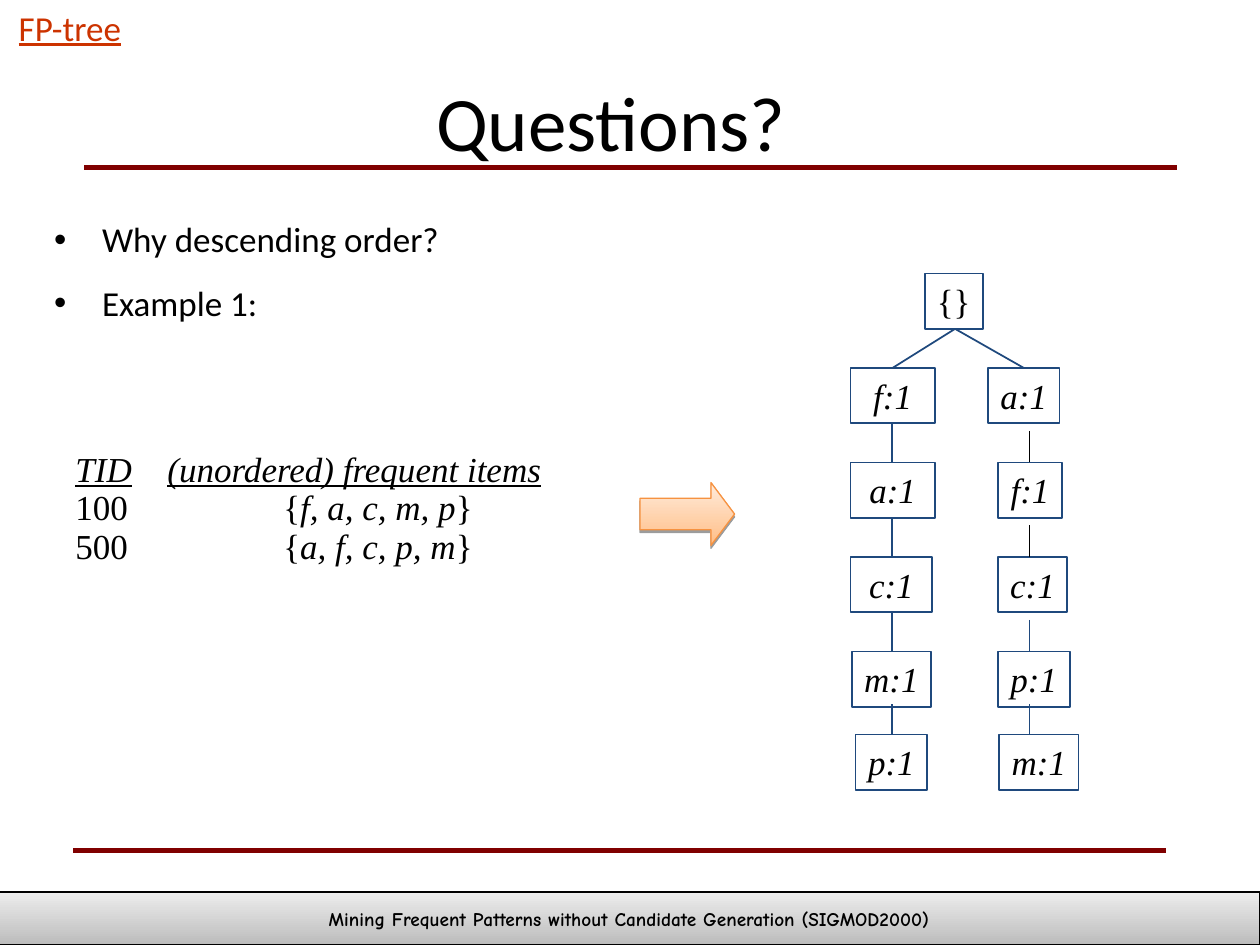
import lxml.etree
import pptx
import pptx.dml.color
import pptx.enum.shapes
import pptx.enum.text
import pptx.oxml
import pptx.oxml.ns
import pptx.util

Inches = pptx.util.Inches
Pt = pptx.util.Pt
RGBColor = pptx.dml.color.RGBColor
ALIGN = pptx.enum.text.PP_ALIGN
ANCHOR = pptx.enum.text.MSO_ANCHOR
SHAPE = pptx.enum.shapes.MSO_SHAPE
qn = pptx.oxml.ns.qn

BLACK = RGBColor(0x00, 0x00, 0x00)
NAVY = RGBColor(0x1F, 0x49, 0x7D)
MAROON = RGBColor(0x80, 0x00, 0x00)
RUST = RGBColor(0xCC, 0x33, 0x00)
ORANGE = RGBColor(0xF6, 0x92, 0x40)
ARROW_SHADES = (RGBColor(0xFF, 0xBE, 0x86), RGBColor(0xFF, 0xEB, 0xDB))
FOOTER_SHADES = (RGBColor(0xBC, 0xBC, 0xBC), RGBColor(0xED, 0xED, 0xED))
SANS, SERIF, COMIC = "Calibri", "Times New Roman", "Comic Neue"

SHADOW = (
    '<a:effectLst xmlns:a="http://schemas.openxmlformats.org/drawingml/2006/main">'
    '<a:outerShdw blurRad="0" dist="20320" dir="5400000" rotWithShape="0">'
    '<a:srgbClr val="000000"><a:alpha val="38000"/></a:srgbClr>'
    "</a:outerShdw></a:effectLst>"
)


def set_font(span, name, size, color=BLACK, **styles):
    span.font.name = name
    span.font.size = Pt(size)
    span.font.color.rgb = color
    for style, value in styles.items():
        setattr(span.font, style, value)


def place(shape, box):
    shape.left, shape.top, shape.width, shape.height = map(Inches, box)


def add_line(page, start, end, color, width):
    line = page.shapes.add_connector(
        pptx.enum.shapes.MSO_CONNECTOR.STRAIGHT, *map(Inches, (*start, *end)))
    line.line.color.rgb = color
    line.line.width = Pt(width)
    lxml.etree.SubElement(line._element.spPr, qn("a:effectLst"))


def add_shaded_shape(page, kind, box, shades, outline):
    """Shape with a gradient rising from bottom to top and a hard shadow."""
    shape = page.shapes.add_shape(kind, *map(Inches, box))
    shape.fill.gradient()
    shape.fill.gradient_angle = 90
    for stop, shade, position in zip(shape.fill.gradient_stops, shades, (0, 1)):
        stop.color.rgb = shade
        stop.position = position
    shape.line.color.rgb = outline
    shape.line.width = Pt(0.75)
    shape._element.spPr.append(pptx.oxml.parse_xml(SHADOW))
    return shape


def add_title(page, box):
    title = page.shapes.title
    place(title, box)
    frame = title.text_frame
    frame.text = "Questions?"
    frame.vertical_anchor = ANCHOR.MIDDLE
    frame.paragraphs[0].alignment = ALIGN.CENTER
    set_font(frame.paragraphs[0].runs[0], SANS, 44)


def add_bullets(page, box, lines):
    body = page.placeholders[1]
    place(body, box)
    body.text_frame.text = "\n".join(lines)
    for index, para in enumerate(body.text_frame.paragraphs):
        properties = para._p.get_or_add_pPr()
        properties.set("marL", str(Inches(0.38)))
        properties.set("indent", str(Inches(-0.38)))
        para.line_spacing = 1.3
        para.space_before = Pt(5 if index else 0)
        set_font(para.runs[0], SANS, 20)


def add_topic(page, box):
    topic = page.shapes.add_textbox(*map(Inches, box))
    topic.text_frame.text = "FP-tree"
    topic.text_frame.word_wrap = False
    set_font(topic.text_frame.paragraphs[0].runs[0], SANS, 20, RUST, underline=True)


def add_transactions(page, box, rows):
    frame = page.shapes.add_textbox(*map(Inches, box)).text_frame
    frame.word_wrap = True
    frame.text = "\n".join(["TID\t(unordered) frequent items"] + [tid + "\t{" for tid, _ in rows])
    for index, para in enumerate(frame.paragraphs):
        # Column stop: the heading starts further left than the item sets
        tabs = lxml.etree.SubElement(para._p.get_or_add_pPr(), qn("a:tabLst"))
        stop = Inches(1.65 if index else 0.73)
        lxml.etree.SubElement(tabs, qn("a:tab"), pos=str(stop), algn="l")
        para.line_spacing = 0.4
        para.space_before = Pt(12.5 if index else 0)
        if index:
            for text in (rows[index - 1][1], "}"):
                para.add_run().text = text
        for number, span in enumerate(para.runs):
            set_font(span, SERIF, 20, italic=not index or number == 1, underline=not index)


def add_node(page, box, label, italic=True):
    node = page.shapes.add_shape(SHAPE.RECTANGLE, *map(Inches, box))
    node.shadow.inherit = False
    node.fill.background()
    node.line.color.rgb = NAVY
    node.line.width = Pt(1)
    frame = node.text_frame
    frame.text = label
    frame.word_wrap = False
    frame.vertical_anchor = ANCHOR.TOP
    frame.paragraphs[0].alignment = ALIGN.CENTER
    set_font(frame.paragraphs[0].runs[0], SERIF, 20, italic=italic)


def add_tree(page, box):
    left, top = box[:2]
    height = 0.44
    root_x = left + 0.83
    tops = [top + offset for offset in (0.75, 1.5, 2.25, 3, 3.66)]

    # Each branch: link x, link length, black links, nodes as (label, left, width)
    branches = [
        (left + 0.33, 0.31, 0,
         [("f:1", 0, 0.67), ("a:1", 0, 0.67), ("c:1", 0, 0.65),
          ("m:1", 0.01, 0.63), ("p:1", 0.04, 0.57)]),
        (left + 1.42, 0.25, 2,
         [("a:1", 1.09, 0.57), ("f:1", 1.17, 0.51), ("c:1", 1.17, 0.55),
          ("p:1", 1.17, 0.57), ("m:1", 1.18, 0.63)]),
    ]
    add_node(page, (root_x - 0.24, top, 0.46, height), "{}", italic=False)
    for link_x, length, black_links, nodes in branches:
        first_x = left + nodes[0][1] + nodes[0][2] / 2
        add_line(page, (root_x, top + height), (first_x, tops[0]), NAVY, 1)
        for (label, offset, width), node_top in zip(nodes, tops):
            add_node(page, (left + offset, node_top, width, height), label)
        for index, (upper, lower) in enumerate(zip(tops, tops[1:])):
            start = max(upper + height - 0.02, lower - length)
            color, weight = (BLACK, 0.75) if index < black_links else (NAVY, 1)
            add_line(page, (link_x, start), (link_x, lower), color, weight)


def add_footer(page, box):
    footer = add_shaded_shape(page, SHAPE.RECTANGLE, box, FOOTER_SHADES, BLACK)
    frame = footer.text_frame
    frame.text = "Mining Frequent Patterns without Candidate Generation (SIGMOD2000)"
    frame.word_wrap = False
    frame.vertical_anchor = ANCHOR.MIDDLE
    frame.paragraphs[0].alignment = ALIGN.CENTER
    set_font(frame.paragraphs[0].runs[0], COMIC, 11, bold=True)


def main():
    deck = pptx.Presentation()
    deck.slide_width, deck.slide_height = Inches(10), Inches(7.5)
    page = deck.slides.add_slide(deck.slide_layouts[1])

    # Headings and list
    add_bullets(page, (0.33, 1.58, 9.42, 5.08), ["Why descending order?", "Example 1:"])
    add_title(page, (0, 0.5, 9.7, 0.91))
    add_topic(page, (0.05, 0, 1.02, 0.44))
    add_footer(page, (-0.01, 7.08, 10.01, 0.42))

    # Transactions and the tree they lead to
    add_transactions(page, (0.5, 3.67, 4.08, 0.85),
                     [("100", "f, a, c, m, p"), ("500", "a, f, c, p, m")])
    arrow = add_shaded_shape(page, SHAPE.RIGHT_ARROW, (5.08, 3.83, 0.75, 0.5),
                             ARROW_SHADES, ORANGE)
    arrow.adjustments[1] = 0.375
    add_tree(page, (6.75, 2.17, 1.81, 4.1))

    # Rules above and below the content
    for left, top in ((0.67, 1.33), (0.58, 6.75)):
        add_line(page, (left, top), (left + 8.67, top), MAROON, 3.25)

    deck.save("out.pptx")


if __name__ == "__main__":
    main()
